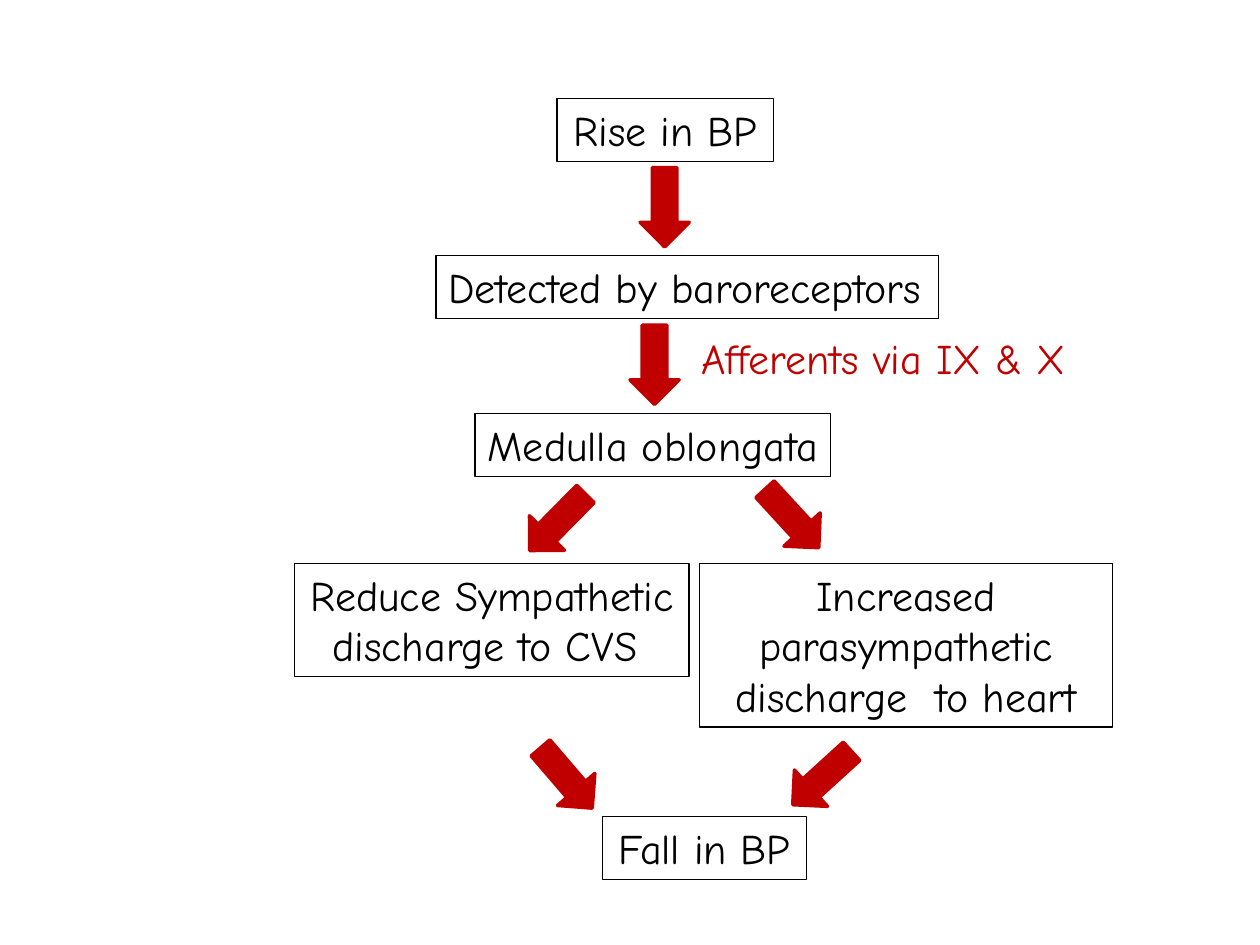
from dataclasses import dataclass

from pptx import Presentation
from pptx import util as u
from pptx.dml.color import RGBColor
from pptx.enum import shapes, text


@dataclass(frozen=True)
class Theme:
    font: str = "Comic Neue"
    size: u.Pt = u.Pt(24)
    ink: RGBColor = RGBColor(0, 0, 0)
    accent: RGBColor = RGBColor(0xC0, 0, 0)
    paper: RGBColor = RGBColor(0xFF, 0xFF, 0xFF)
    box_line: u.Pt = u.Pt(0.75)
    solid_line: u.Pt = u.Pt(2)


@dataclass(frozen=True)
class Step:
    label: str
    left: float
    top: float
    width: float
    height: float = 0.5
    align: text.PP_ALIGN = text.PP_ALIGN.CENTER
    wrap: bool = True


@dataclass(frozen=True)
class Arrow:
    left: float
    top: float
    rotation: float = 0


THEME = Theme()
ARROW_WIDTH, ARROW_HEIGHT = 0.39, 0.63

STEPS = [
    Step("Rise in BP", 4.42, 0.78, 1.72),
    Step("Detected by baroreceptors", 3.46, 2.03, 3.99,
         align=text.PP_ALIGN.LEFT, wrap=False),
    Step("Medulla oblongata", 3.77, 3.28, 2.82, wrap=False),
    Step("Reduce Sympathetic discharge to CVS ", 2.34, 4.47, 3.13, 0.9),
    Step("Increased parasympathetic discharge  to heart", 5.55, 4.47, 3.28, 1.3),
    Step("Fall in BP", 4.78, 6.48, 1.62),
]
AFFERENTS = Step("Afferents via IX & X", 5.47, 2.59, 4.14, align=text.PP_ALIGN.LEFT)

ARROWS = [
    Arrow(5.08, 1.33),
    Arrow(5, 2.58),
    Arrow(6.09, 3.8, 317.4),
    Arrow(4.23, 3.83, 44.6),
    Arrow(4.3, 5.86, 319.4),
    Arrow(6.33, 5.86, 47.7),
]


def inches(*lengths: float) -> list[u.Inches]:
    return [u.Inches(length) for length in lengths]


def write_label(shape, step: Step, color: RGBColor) -> None:
    frame = shape.text_frame
    frame.text = step.label
    frame.word_wrap = step.wrap
    frame.vertical_anchor = text.MSO_ANCHOR.TOP
    paragraph = frame.paragraphs[0]
    paragraph.alignment = step.align
    font = paragraph.runs[0].font
    font.name, font.size, font.color.rgb = THEME.font, THEME.size, color


def draw_step(slide, step: Step) -> None:
    shape = slide.shapes.add_shape(
        shapes.MSO_SHAPE.RECTANGLE,
        *inches(step.left, step.top, step.width, step.height))
    shape.shadow.inherit = False
    shape.fill.background()
    shape.line.color.rgb = THEME.ink
    shape.line.width = THEME.box_line
    write_label(shape, step, THEME.ink)


def draw_note(slide, note: Step) -> None:
    box = slide.shapes.add_textbox(
        *inches(note.left, note.top, note.width, note.height))
    write_label(box, note, THEME.accent)


def draw_solid(slide, kind: shapes.MSO_SHAPE, color: RGBColor,
               left: float, top: float, width: float, height: float):
    """Draw a shape whose fill and outline share one colour."""
    shape = slide.shapes.add_shape(kind, *inches(left, top, width, height))
    shape.shadow.inherit = False
    shape.fill.solid()
    shape.fill.fore_color.rgb = color
    shape.line.color.rgb = color
    shape.line.width = THEME.solid_line
    return shape


def draw_arrow(slide, arrow: Arrow) -> None:
    shape = draw_solid(slide, shapes.MSO_SHAPE.DOWN_ARROW, THEME.accent,
                       arrow.left, arrow.top, ARROW_WIDTH, ARROW_HEIGHT)
    shape.rotation = arrow.rotation


def main() -> None:
    presentation = Presentation()
    presentation.slide_width, presentation.slide_height = inches(10, 7.5)
    blank_layout = presentation.slide_layouts[6]
    slide = presentation.slides.add_slide(blank_layout)

    draw_solid(slide, shapes.MSO_SHAPE.ROUNDED_RECTANGLE, THEME.paper,
               2.11, 0.47, 6.8, 6.8)
    for step in STEPS:
        draw_step(slide, step)
    draw_note(slide, AFFERENTS)
    for arrow in ARROWS:
        draw_arrow(slide, arrow)

    presentation.save("out.pptx")


if __name__ == "__main__":
    main()
